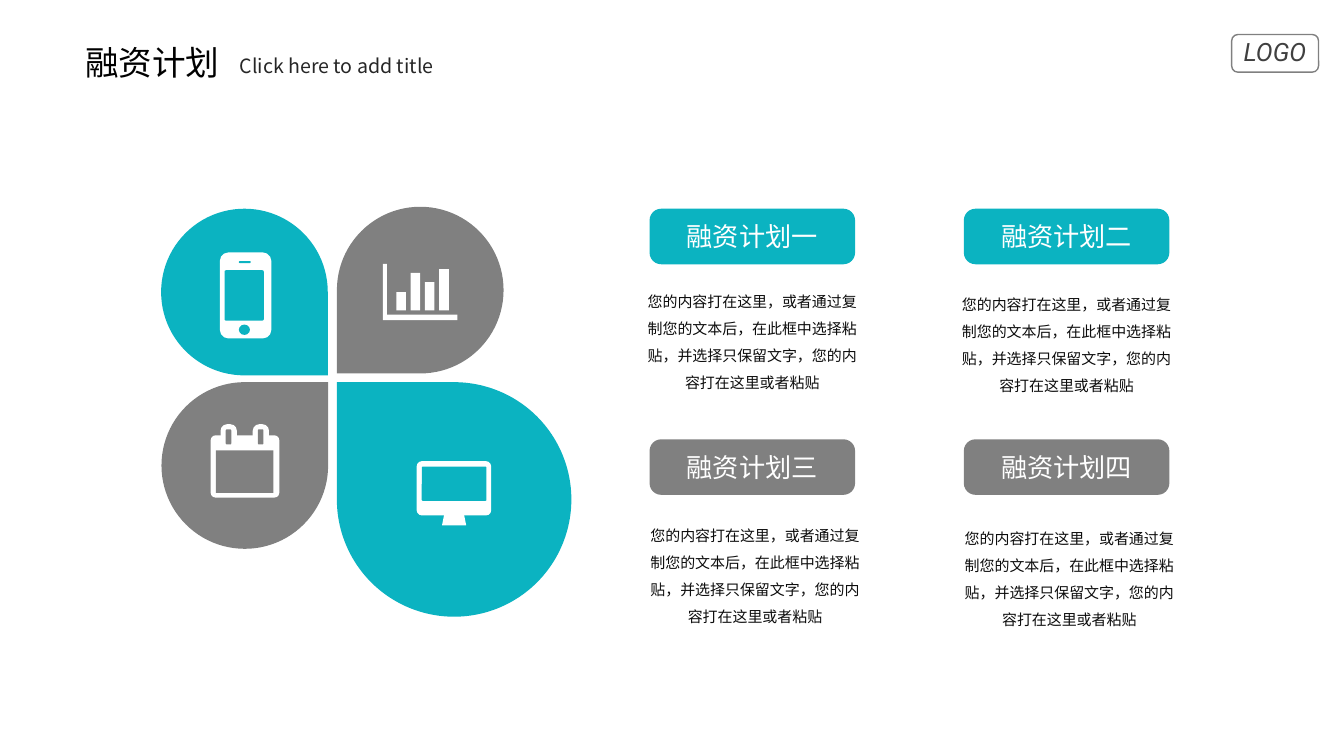
"""Build the financing plan slide with four petals and four cards."""
from dataclasses import dataclass
from lxml.etree import SubElement
from pptx import Presentation
from pptx.dml.color import RGBColor
from pptx.enum.shapes import MSO_SHAPE as Kind
from pptx.enum.text import MSO_ANCHOR, MSO_AUTO_SIZE, PP_ALIGN
from pptx.oxml.ns import qn
from pptx.util import Cm, Pt

TITLE = "融资计划"
SUB = "Click here to add title"
LOGO = "LOGO"
BODY = "您的内容打在这里，或者通过复制您的文本后，在此框中选择粘贴，并选择只保留文字，您的内容打在这里或者粘贴"
CARDS = [["融资计划一", "融资计划二"], ["融资计划三", "融资计划四"]]
BARS = [0.46, 0.94, 0.71, 1.04]


@dataclass(frozen=True)
class Theme:
    """Colours, fonts and type sizes."""
    teal: str = "0BB3C1"
    gray: str = "808080"
    white: str = "FFFFFF"
    black: str = "000000"
    ink: str = "0D0D0D"
    soft: str = "262626"
    mark: str = "404040"
    sans: str = "Noto Sans CJK SC"
    latin: str = "Roboto"
    title: float = 24
    sub: float = 14
    logo: float = 18
    card: float = 18.7
    body: float = 10.7


T = Theme()
RECT, ROUND, OVAL = Kind.RECTANGLE, Kind.ROUNDED_RECTANGLE, Kind.OVAL
TRAP = Kind.TRAPEZOID

PHONE = [
    (ROUND, (5.54, 6.36, 1.3, 2.17), 0.17, True),
    (ROUND, (5.66, 6.81, 0.99, 1.27), 0.04, False),
    (ROUND, (6.02, 6.58, 0.3, 0.05), 0.5, False),
    (OVAL, (6.02, 8.18, 0.28, 0.26), None, False),
]
DIARY = [
    (ROUND, (5.31, 10.97, 1.73, 1.57), 0.08, True),
    (RECT, (5.44, 11.35, 1.45, 1.07), None, False),
] + [
    part for x in (5.56, 6.37) for part in (
        (ROUND, (x, 10.69, 0.41, 0.6), 0.4, True),
        (ROUND, (x + 0.13, 10.82, 0.14, 0.38), 0.2, False),
    )
]
SCREEN = [
    (ROUND, (10.5, 11.62, 1.88, 1.37), 0.1, True),
    (ROUND, (10.63, 11.76, 1.63, 0.86), 0.03, False),
    (TRAP, (11.14, 12.96, 0.61, 0.28), 0.2, True),
]
PETALS = [
    ((4.07, 9.63, 4.2, 4.2), 0, T.gray, DIARY),
    ((8.49, 9.63, 5.91, 5.91), 270, T.teal, SCREEN),
    ((8.49, 5.21, 4.2, 4.2), 180, T.gray, []),
    ((4.06, 5.26, 4.2, 4.2), 90, T.teal, PHONE),
]


def assign(item, vals):
    """Set each named value on the item."""
    for name, val in vals.items():
        setattr(item, name, val)


def area(box):
    """Turn a box in centimetres into lengths."""
    return [Cm(val) for val in box]


def write(item, text, size, color, face=T.sans, pad=(0.25, 0.13),
          anchor=MSO_ANCHOR.TOP, align=PP_ALIGN.CENTER, space=1.0,
          slant=False):
    """Put one formatted paragraph in a shape."""
    frame = item.text_frame
    side, edge = area(pad)
    assign(frame, dict(
        word_wrap=True, auto_size=MSO_AUTO_SIZE.NONE,
        vertical_anchor=anchor, margin_left=side, margin_right=side,
        margin_top=edge, margin_bottom=edge))
    para = frame.paragraphs[0]
    assign(para, dict(alignment=align, line_spacing=space))
    run = para.add_run()
    run.text = text
    assign(run.font, dict(name=face, size=Pt(size), bold=False, italic=slant))
    run.font.color.rgb = RGBColor.from_string(color)
    SubElement(run._r.get_or_add_rPr(), qn("a:ea"), typeface=face)


def paint(item, fill=None):
    """Make a shape flat, with no line."""
    item.shadow.inherit = False
    item.line.fill.background()
    if fill:
        item.fill.solid()
        item.fill.fore_color.rgb = RGBColor.from_string(fill)
    else:
        item.fill.background()


def draw(slide, kind, box, fill=None, adj=None, turn=0):
    """Add a flat preset shape."""
    item = slide.shapes.add_shape(kind, *area(box))
    paint(item, fill)
    item.rotation = turn
    if adj is not None:
        item.adjustments[0] = adj
    return item


def label(slide, box, *args, **style):
    """Add a text box."""
    write(slide.shapes.add_textbox(*area(box)), *args, **style)


def header(slide):
    """Place the title, subtitle and logo frame."""
    title = slide.shapes.title
    names = ("left", "top", "width", "height")
    assign(title, dict(zip(names, area((0.52, 0.92, 5.26, 1.27)))))
    write(title, TITLE, T.title, T.black, align=PP_ALIGN.RIGHT)
    label(slide, (5.79, 1.12, 6.6, 0.97), SUB, T.sub, T.soft,
          align=PP_ALIGN.LEFT, space=1.2)
    frame = draw(slide, ROUND, (31.04, 0.87, 2.19, 0.95))
    frame.line.width = Pt(1)
    frame.line.color.rgb = RGBColor.from_string(T.gray)
    label(slide, (30.81, 0.79, 2.64, 1.02), LOGO, T.logo, T.mark,
          face=T.latin, slant=True)


def graph(slide):
    """Draw the bar chart icon as one outline."""
    left, top, right, low = 9.65, 6.65, 11.53, 8.07
    base, edge = low - 0.14, left + 0.1
    loops = [[(left, top), (edge, top), (edge, base), (right, base),
              (right, low), (left, low)]]
    for i, tall in enumerate(BARS):
        x, y = 9.99 + 0.36 * i, 7.82
        loops.append([(x, y - tall), (x + 0.24, y - tall),
                      (x + 0.24, y), (x, y)])
    pen = slide.shapes.build_freeform(*area(loops[0][0]))
    for i, loop in enumerate(loops):
        first, *rest = [area(spot) for spot in loop]
        if i:
            pen.move_to(*first)
        pen.add_line_segments(rest, close=True)
    paint(pen.convert_to_shape(), T.white)


def petals(slide):
    """Draw the four petals and their icons."""
    for box, turn, fill, icon in PETALS:
        draw(slide, Kind.TEAR, box, fill, turn=turn)
        for kind, spot, adj, solid in icon:
            draw(slide, kind, spot, T.white if solid else fill, adj)
    graph(slide)


def cards(slide):
    """Lay out the captions and body text in a grid."""
    for row, names in enumerate(CARDS):
        for col, name in enumerate(names):
            x = 16.37 + 7.92 * col
            head = draw(slide, ROUND, (x, 5.26 + 5.81 * row, 5.18, 1.4),
                        T.gray if row else T.teal, 0.21)
            write(head, name, T.card, T.white, pad=(0, 0),
                  anchor=MSO_ANCHOR.MIDDLE)
            box = (x - 0.41 + 0.07 * row,
                   7.07 + 5.9 * row + 0.08 * col, 6, 2.9)
            label(slide, box, BODY, T.body, T.ink, pad=(0.18, 0.08),
                  space=1.5)


def main():
    """Build and save the slide."""
    deck = Presentation()
    assign(deck, dict(slide_width=Cm(33.87), slide_height=Cm(19.05)))
    slide = deck.slides.add_slide(deck.slide_layouts[5])
    header(slide)
    petals(slide)
    cards(slide)
    deck.save("out.pptx")


if __name__ == "__main__":
    main()
